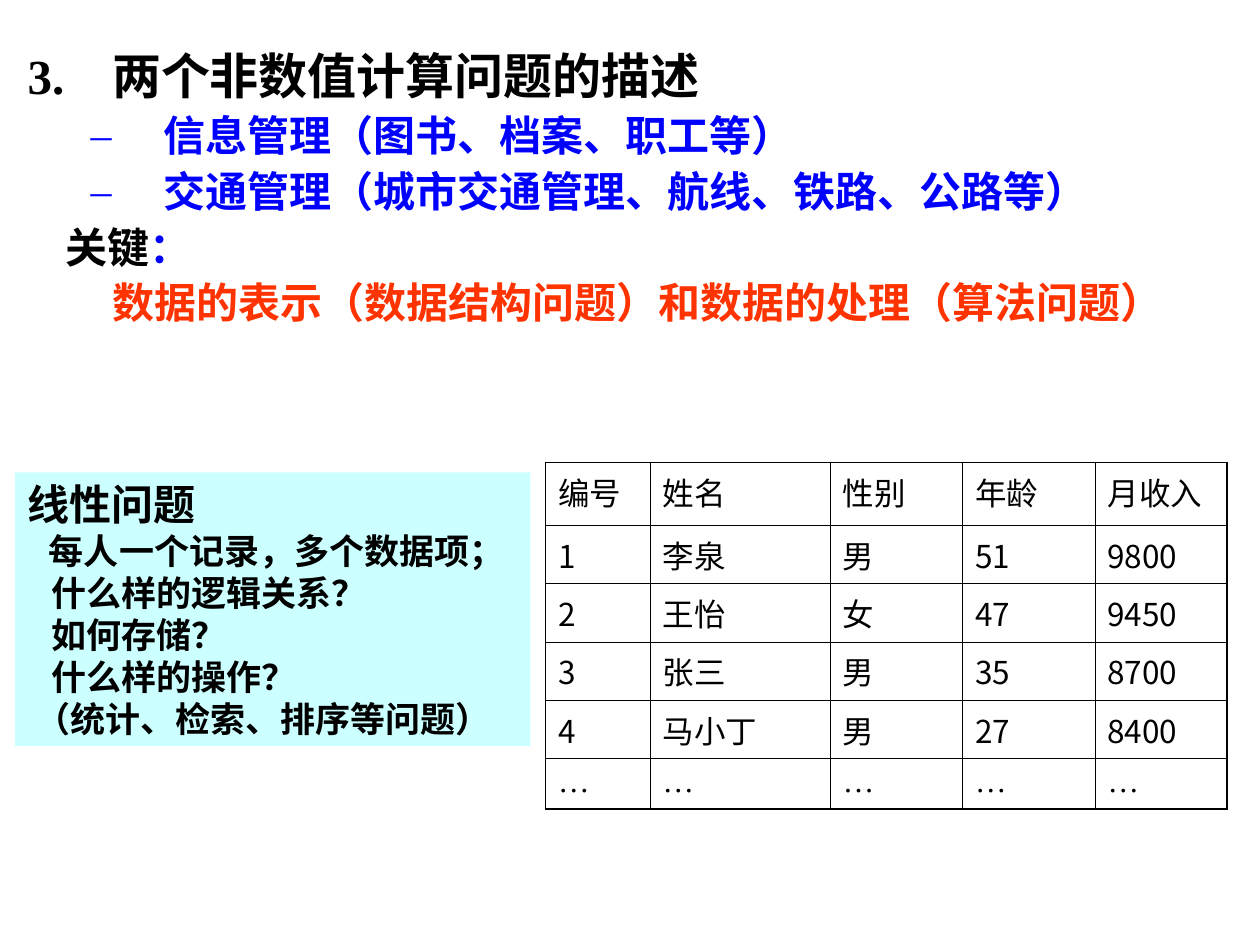
from lxml.etree import SubElement
from pptx import Presentation
from pptx.dml.color import RGBColor
from pptx.enum.shapes import MSO_SHAPE
from pptx.enum.text import MSO_ANCHOR, PP_ALIGN
from pptx.oxml import parse_xml
from pptx.oxml.ns import nsdecls, qn
from pptx.util import Inches, Pt

COLORS = {"ink": "000000", "blue": "0000FF", "red": "FF3300", "pale": "CCFFFF"}
SANS, SERIF = "Noto Sans CJK SC", "Times New Roman"
ROWS = [
    ("编号", "姓名", "性别", "年龄", "月收入"),
    ("1", "李泉", "男", "51", "9800"),
    ("2", "王怡", "女", "47", "9450"),
    ("3", "张三", "男", "35", "8700"),
    ("4", "马小丁", "男", "27", "8400"),
    ("…",) * 5,
]
WIDTHS = (0.83, 1.43, 1.05, 1.05, 1.05)


def rgb(name):
    return RGBColor.from_string(COLORS[name])


def put(frame, *parts, size=18, bold=False, font=SANS, left=0, hang=0,
        before=0, line=None, level=0, dash=None):
    """Add a paragraph of (text, colour) parts, reusing an empty first one."""
    para = frame.paragraphs[0]
    if para.runs:
        para = frame.add_paragraph()
    para.alignment, para.level = PP_ALIGN.LEFT, level
    para.space_before, para.line_spacing = Pt(before), line
    props = para._p.get_or_add_pPr()
    props.set("marL", str(Inches(left)))
    props.set("indent", str(Inches(-hang)))
    if dash:
        SubElement(SubElement(props, qn("a:buClr")), qn("a:srgbClr"), val=COLORS[dash])
        SubElement(props, qn("a:buFont"), typeface=SERIF)
        SubElement(props, qn("a:buChar"), char="–")
    else:
        SubElement(props, qn("a:buNone"))
    for text, color in parts:
        run = para.add_run()
        run.text = text
        style = run.font
        style.size, style.bold, style.name = Pt(size), bold, font
        style.color.rgb = rgb(color)
        SubElement(run._r.get_or_add_rPr(), qn("a:ea"), typeface=SANS)


def add_points(slide):
    body = slide.placeholders[1]
    body.left, body.top = Inches(0.12), Inches(0.36)
    body.width, body.height = Inches(9.29), Inches(2.76)
    frame = body.text_frame
    frame.vertical_anchor = MSO_ANCHOR.TOP
    look = dict(bold=True, line=0.9)
    put(frame, ("3.\t两个非数值计算问题的描述", "ink"), size=28, font=SERIF,
        left=0.67, hang=0.67, before=7, **look)
    look.update(size=24, before=6)
    for text in ("信息管理（图书、档案、职工等）",
                 "交通管理（城市交通管理、航线、铁路、公路等）"):
        put(frame, (text, "blue"), left=1.08, hang=0.58, level=1, dash="blue", **look)
    put(frame, ("关键", "ink"), ("：", "blue"), left=0.3, **look)
    put(frame, ("数据的表示（数据结构问题）和数据的处理（算法问题）", "red"),
        left=0.67, **look)


def set_edge(cell, side, width):
    return parse_xml(
        f'<a:ln{side} {nsdecls("a")} w="{Pt(width)}"><a:solidFill>'
        f'<a:srgbClr val="{COLORS["ink"]}"/></a:solidFill></a:ln{side}>')


def add_staff(slide):
    shape = slide.shapes.add_table(len(ROWS), len(WIDTHS), Inches(4.33),
                                   Inches(3.67), Inches(sum(WIDTHS)), Inches(2.5))
    table = shape.table
    table.first_row = table.horz_banding = False
    for col, width in zip(table.columns, WIDTHS):
        col.width = Inches(width)
    for r, texts in enumerate(ROWS):
        table.rows[r].height = Inches(0.4 if r else 0.5)
        for c, text in enumerate(texts):
            cell = table.cell(r, c)
            cell.fill.background()
            put(cell.text_frame, (text, "ink"), before=4.5,
                font=SERIF if text == "…" else SANS)
            outer = {"L": c == 0, "R": c == len(WIDTHS) - 1,
                     "T": r == 0, "B": r == len(ROWS) - 1}
            props = cell._tc.get_or_add_tcPr()
            for i, (side, edge) in enumerate(outer.items()):
                props.insert(i, set_edge(cell, side, 1.08 if edge else 0.45))


def add_box(slide):
    box = slide.shapes.add_shape(MSO_SHAPE.RECTANGLE, Inches(0.12), Inches(3.75),
                                 Inches(4.09), Inches(2.17))
    box.shadow.inherit = False
    box.fill.solid()
    box.fill.fore_color.rgb = rgb("pale")
    box.line.fill.background()
    frame = box.text_frame
    frame.word_wrap, frame.vertical_anchor = True, MSO_ANCHOR.TOP
    put(frame, ("线性问题", "ink"), size=24, bold=True)
    for text, left in (("每人一个记录，多个数据项；", 0.17),
                       ("什么样的逻辑关系？", 0.19), ("如何存储？", 0.19),
                       ("什么样的操作？", 0.19), ("（统计、检索、排序等问题）", 0.06)):
        put(frame, (text, "ink"), size=20, bold=True, left=left)


def main():
    deck = Presentation()
    deck.slide_width, deck.slide_height = Inches(10), Inches(7.5)
    slide = deck.slides.add_slide(deck.slide_layouts[1])
    title = slide.shapes.title._element
    title.getparent().remove(title)
    add_points(slide)
    add_staff(slide)
    add_box(slide)
    deck.save("out.pptx")


if __name__ == "__main__":
    main()
